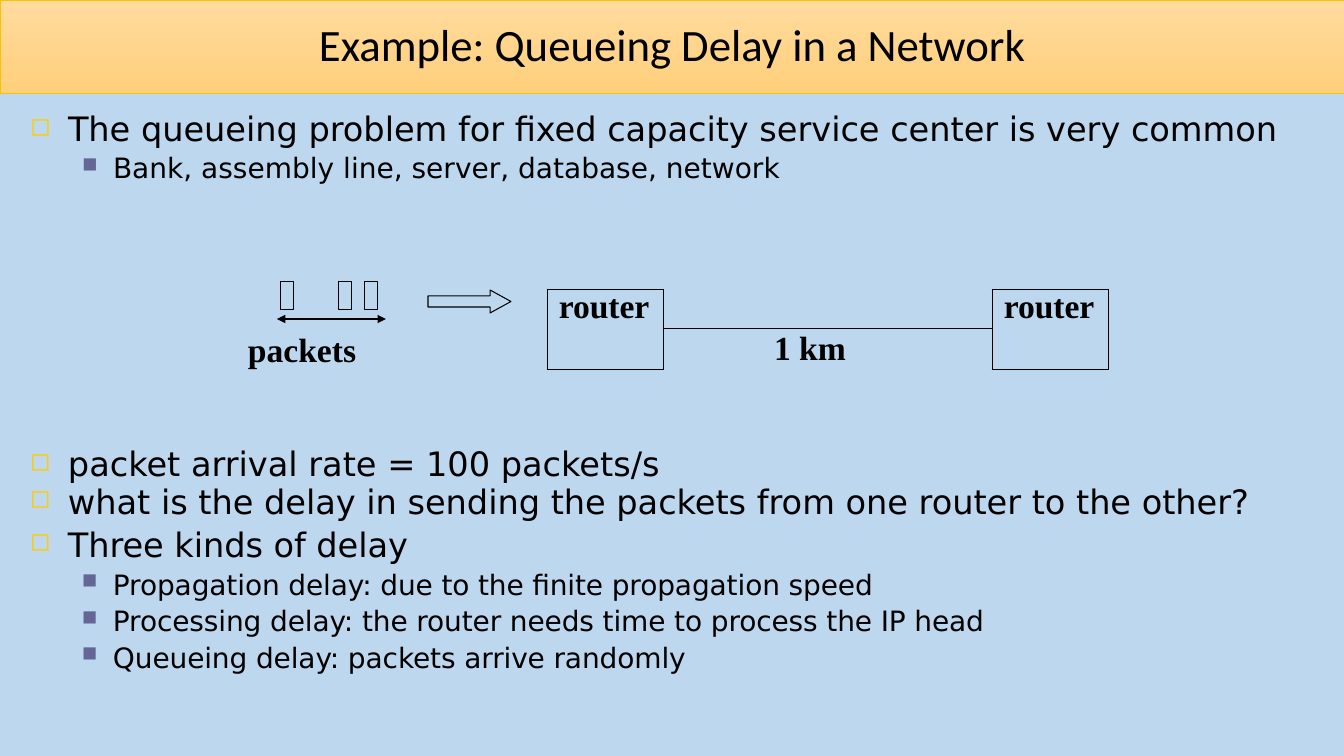
from dataclasses import dataclass

from lxml.etree import SubElement
from pptx import Presentation
from pptx.dml.color import RGBColor
from pptx.enum.shapes import MSO_CONNECTOR, MSO_SHAPE
from pptx.enum.text import MSO_ANCHOR, PP_ALIGN
from pptx.oxml.ns import qn
from pptx.util import Emu, Pt

BLACK = RGBColor(0x00, 0x00, 0x00)
SKY = RGBColor(0xBD, 0xD7, 0xEE)
GOLD = RGBColor(0xFF, 0xC0, 0x00)
TITLE_TOP = RGBColor(0xFF, 0xDB, 0x9E)
TITLE_END = RGBColor(0xFF, 0xD0, 0x7C)
YELLOW = RGBColor(0xFF, 0xCC, 0x00)
PURPLE = RGBColor(0x65, 0x65, 0x98)

TITLE = {"name": "Calibri", "size": Pt(32), "bold": False}
LABEL = {"name": "Times New Roman", "size": Pt(24), "bold": True}
NO_GRID = "{2D5ABB26-0587-4C30-8999-92F81FD0307C}"
LINE_WIDTH = Pt(0.75)


@dataclass(frozen=True)
class Level:
    indent: int
    hanging: int
    bullet: str
    color: RGBColor
    size: int


@dataclass(frozen=True)
class Item:
    text: str
    level: Level
    before: float = 0
    tracking: int = 0
    leading: float | None = None


@dataclass(frozen=True)
class Box:
    x: int
    y: int
    w: int
    h: int


TOPIC = Level(39, 38, "◻", YELLOW, 24)
DETAIL = Level(84, 31, "■", PURPLE, 20)

BODY = {
    Box(29, 108, 1296, 78): [
        Item("The queueing problem for fixed capacity service center is very common", TOPIC, tracking=-3),
        Item("Bank, assembly line, server, database, network", DETAIL, 1.9),
    ],
    Box(29, 443, 1275, 233): [
        Item("packet arrival rate = 100 packets/s", TOPIC),
        Item("what is the delay in sending the packets from one router to the other?", TOPIC, 5.1, -3, 21.6),
        Item("Three kinds of delay", TOPIC, 2.1, -5),
        Item("Propagation delay: due to the finite propagation speed", DETAIL, 2.2, -10),
        Item("Processing delay: the router needs time to process the IP head", DETAIL, 2.1, -10),
        Item("Queueing delay: packets arrive randomly", DETAIL, 2.1, -10),
    ],
}
LABELS = {"packets": Box(248, 329, 133, 40), "1 km": Box(774, 327, 104, 40)}
PACKET_LEFTS = (281, 339, 365)


def px(n: int) -> Emu:
    return Emu(round(n * 914400 / 100.8))


def place(b: Box) -> tuple[Emu, ...]:
    return tuple(px(n) for n in (b.x, b.y, b.w, b.h))


def add_run(p, text: str, style: dict, tracking: int = 0) -> None:
    r = p.add_run()
    r.text = text
    for key, value in style.items():
        setattr(r.font, key, value)
    r.font.color.rgb = BLACK
    if tracking:
        r._r.get_or_add_rPr().set("spc", str(tracking))


def add_text_frame(s, b: Box, wrap: bool):
    tf = s.shapes.add_textbox(*place(b)).text_frame
    frame = {"word_wrap": wrap, "margin_left": 0, "margin_right": 0, "margin_top": 0, "margin_bottom": 0}
    for key, value in frame.items():
        setattr(tf, key, value)
    return tf


def add_bullets(s, b: Box, items: list[Item]) -> None:
    tf = add_text_frame(s, b, True)
    for i, item in enumerate(items):
        p = tf.add_paragraph() if i else tf.paragraphs[0]
        lv = item.level
        pPr = p._p.get_or_add_pPr()
        pPr.set("marL", str(px(lv.indent)))
        pPr.set("indent", str(-px(lv.hanging)))
        SubElement(SubElement(pPr, qn("a:buClr")), qn("a:srgbClr"), val=str(lv.color))
        SubElement(pPr, qn("a:buSzPct"), val="75000")
        SubElement(pPr, qn("a:buChar"), char=lv.bullet)
        if item.before:
            p.space_before = Pt(item.before)
        if item.leading:
            p.line_spacing = Pt(item.leading)
        add_run(p, item.text, {"name": "DejaVu Sans", "size": Pt(lv.size)}, item.tracking)


def add_outline(s, kind: MSO_SHAPE, b: Box):
    sp = s.shapes.add_shape(kind, *place(b))
    sp.shadow.inherit = False
    sp.fill.background()
    sp.line.color.rgb = BLACK
    sp.line.width = LINE_WIDTH
    return sp


def add_title(s, text: str) -> None:
    sp = add_outline(s, MSO_SHAPE.RECTANGLE, Box(0, 0, 1344, 93))
    sp.fill.gradient()
    sp.fill.gradient_angle = 270
    for stop, color in zip(sp.fill.gradient_stops, (TITLE_TOP, TITLE_END)):
        stop.color.rgb = color
    sp.line.color.rgb = GOLD
    sp.line.width = Pt(0.5)
    sp.text_frame.vertical_anchor = MSO_ANCHOR.MIDDLE
    p = sp.text_frame.paragraphs[0]
    p.alignment = PP_ALIGN.CENTER
    p.line_spacing = 0.9
    add_run(p, text, TITLE, -3)


def add_span_arrow(s, x1: int, x2: int, y: int) -> None:
    cx = s.shapes.add_connector(MSO_CONNECTOR.STRAIGHT, px(x1), px(y), px(x2), px(y))
    cx.line.color.rgb = BLACK
    cx.line.width = LINE_WIDTH
    ln = cx.line._get_or_add_ln()
    for end in ("a:headEnd", "a:tailEnd"):
        SubElement(ln, qn(end), type="triangle")
    SubElement(cx._element.spPr, qn("a:effectLst"))


def set_borders(cell, sides: str) -> None:
    tcPr = cell._tc.get_or_add_tcPr()
    for side in sides:
        ln = SubElement(tcPr, qn(f"a:ln{side}"), w=str(LINE_WIDTH))
        SubElement(SubElement(ln, qn("a:solidFill")), qn("a:srgbClr"), val=str(BLACK))


def add_routers(s) -> None:
    widths, heights = (116, 329, 116), (40, 40)
    frame = s.shapes.add_table(2, 3, *place(Box(547, 289, sum(widths), sum(heights))))
    table = frame.table
    table.first_row = table.horz_banding = False
    table._tbl.tblPr.find(qn("a:tableStyleId")).text = NO_GRID
    for col, w in zip(table.columns, widths):
        col.width = px(w)
    for row, h in zip(table.rows, heights):
        row.height = px(h)
    for i, row in enumerate(table.rows):
        for j, cell in enumerate(row.cells):
            set_borders(cell, ("LRB", "LRT")[i] if j == 1 else "LRTB")
            cell.fill.background()
            cell.margin_left = px(12) if j != 1 else 0
            cell.margin_right = cell.margin_top = cell.margin_bottom = 0
    for j in (0, 2):
        table.cell(0, j).merge(table.cell(1, j))
        add_run(table.cell(0, j).text_frame.paragraphs[0], "router", LABEL, -8)


def main() -> None:
    prs = Presentation()
    prs.slide_width, prs.slide_height = px(1344), px(756)
    s = prs.slides.add_slide(prs.slide_layouts[6])
    s.background.fill.solid()
    s.background.fill.fore_color.rgb = SKY
    add_title(s, "Example: Queueing Delay in a Network")
    for b, items in BODY.items():
        add_bullets(s, b, items)
    for text, b in LABELS.items():
        add_run(add_text_frame(s, b, False).paragraphs[0], text, LABEL)
    arrow = add_outline(s, MSO_SHAPE.RIGHT_ARROW, Box(428, 290, 83, 23))
    arrow.adjustments[0], arrow.adjustments[1] = 0.48, 0.91
    for x in PACKET_LEFTS:
        add_outline(s, MSO_SHAPE.RECTANGLE, Box(x, 282, 13, 28))
    add_span_arrow(s, 277, 386, 319)
    add_routers(s)
    prs.save("out.pptx")


if __name__ == "__main__":
    main()
